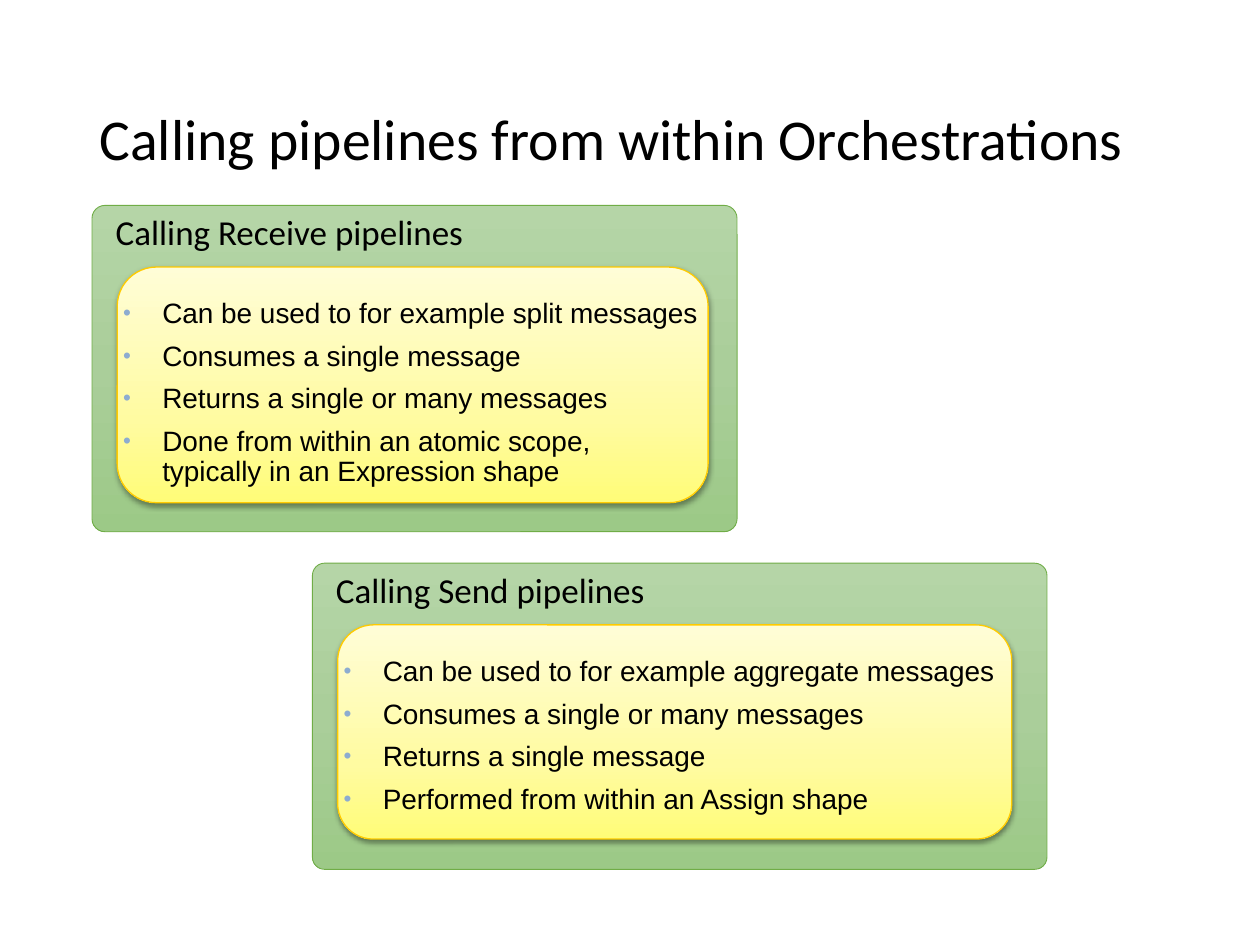
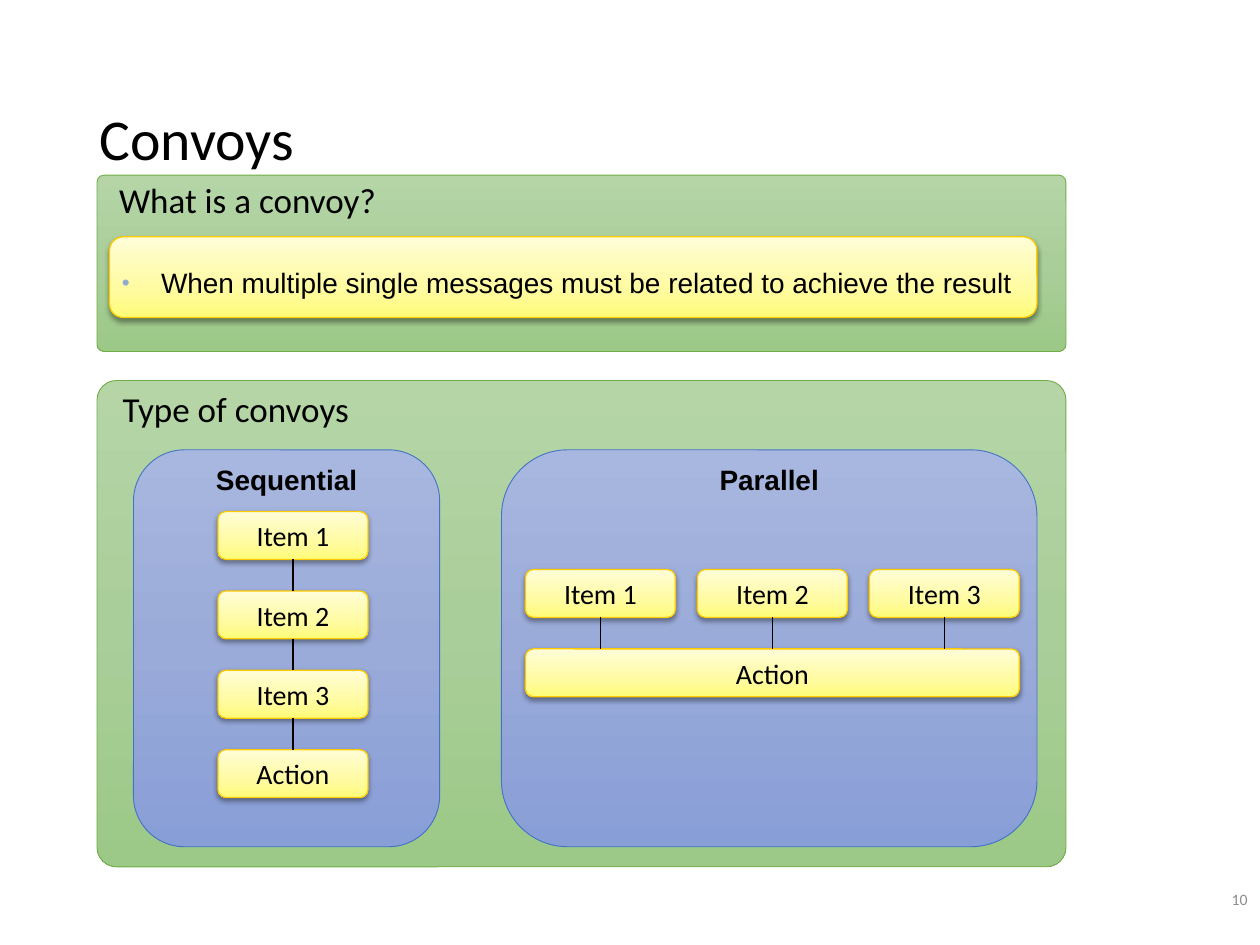
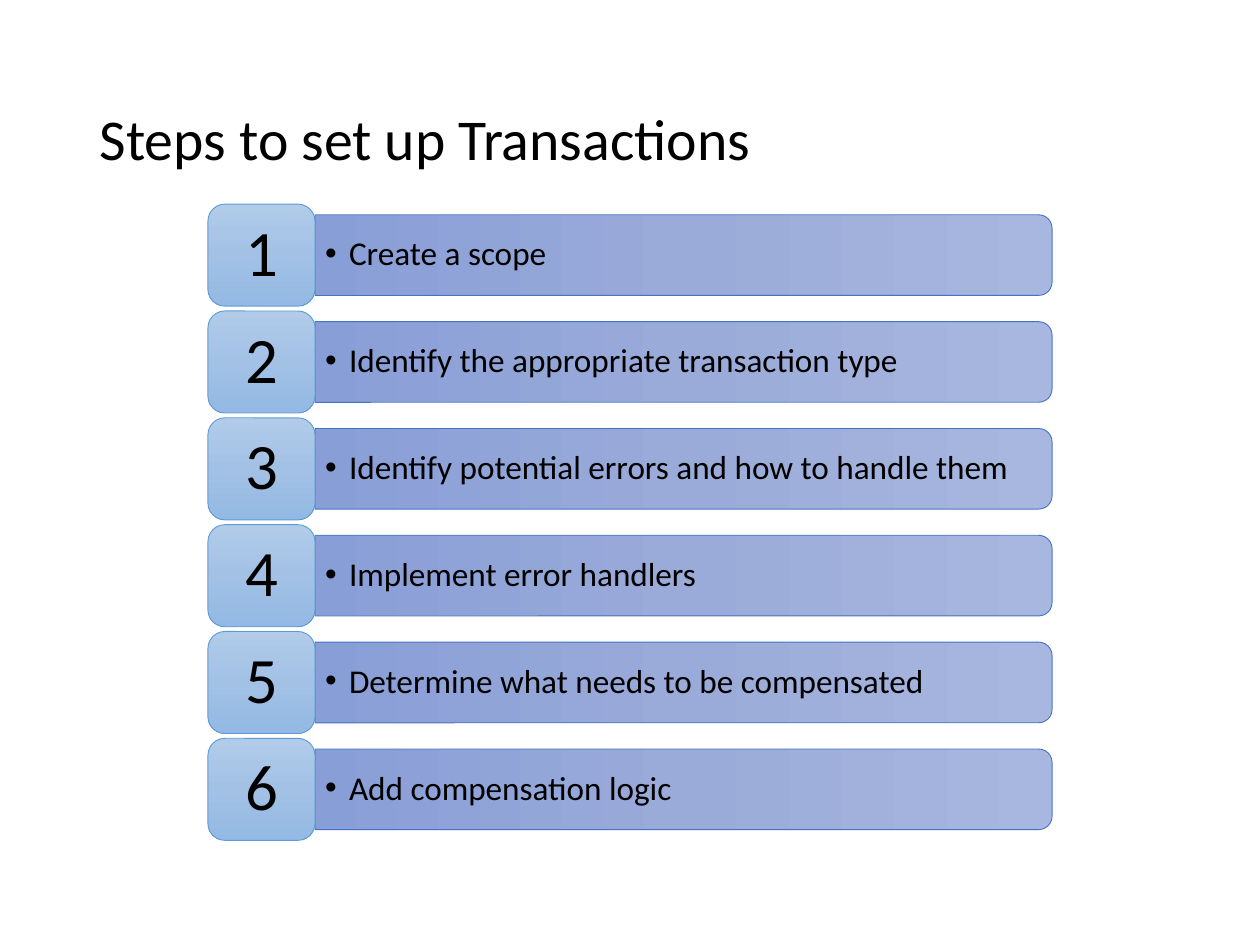
"""Build three slides on orchestration pipelines, convoys and transactions."""
from copy import deepcopy

from lxml.etree import SubElement
from pptx import Presentation
from pptx.dml.color import RGBColor
from pptx.enum.shapes import MSO_CONNECTOR, MSO_SHAPE
from pptx.enum.text import MSO_ANCHOR, PP_ALIGN
from pptx.oxml.ns import qn
from pptx.util import Inches, Pt

COLORS = {"text": "000000", "muted": "8C8C8C", "bullet": "8DACD0"}
STYLES = {
    "panel": {"stops": [(0, "B5D5A7"), (0.5, "AACE9A"), (1, "9CC987")], "line": "70AD47"},
    "column": {"stops": [(0, "A8B7DF"), (0.5, "9AABD9"), (1, "889ED7")], "line": "4472C4"},
    "tile": {"stops": [(0, "B1CBE9"), (0.5, "A3C1E5"), (1, "93B9E4")], "line": "5B9BD5"},
    "card": {"stops": [(0, "FFFDD7"), (0.65, "FFFBA1"), (1, "FFFC78")], "line": "FFCB00",
             "weight": 0.75, "shadow": True},
}

PIPELINE_TITLE = "Calling pipelines from within Orchestrations"
PIPELINES = [
    {"heading": "Calling Receive pipelines",
     "panel": (0.73, 1.63, 5.12, 2.59), "card_size": (4.69, 1.87),
     "points": ["Can be used to for example split messages",
                "Consumes a single message",
                "Returns a single or many messages",
                "Done from within an atomic scope, \vtypically in an Expression shape"]},
    {"heading": "Calling Send pipelines",
     "panel": (2.48, 4.47, 5.83, 2.43), "card_size": (5.35, 1.7),
     "points": ["Can be used to for example aggregate messages",
                "Consumes a single or many messages",
                "Returns a single message",
                "Performed from within an Assign shape"]},
]

CONVOY_TITLE = "Convoys"
CONVOY_NUMBER = "10"
DEFINITION = ("What is a convoy?",
              "When multiple single messages must be related to achieve the result")
TYPES_HEADING = "Type of convoys"
COLUMNS = {"Sequential": (1.06, 2.43), "Parallel": (3.98, 4.25)}
ITEMS = ["Item 1", "Item 2", "Item 3"]
ACTION = "Action"

STEPS_TITLE = "Steps to set up Transactions"
STEPS = ["Create a scope",
         "Identify the appropriate transaction type",
         "Identify potential errors and how to handle them",
         "Implement error handlers",
         "Determine what needs to be compensated",
         "Add compensation logic"]

TITLE_BOX = (0.69, 0.4, 8.62, 1.45)
ITEM_WIDTH, ITEM_HEIGHT, ITEM_GAP = 1.19, 0.38, 0.25
ITEM_PITCH = ITEM_HEIGHT + ITEM_GAP


def inches(box):
    return [Inches(length) for length in box]


def add_bullet(paragraph, color, size, indent):
    properties = paragraph._p.get_or_add_pPr()
    properties.set("marL", str(Inches(indent)))
    properties.set("indent", str(-Inches(indent)))
    SubElement(SubElement(properties, qn("a:buClr")), qn("a:srgbClr"), val=COLORS[color])
    SubElement(properties, qn("a:buSzPct"), val=str(size * 1000))
    SubElement(properties, qn("a:buFont"), typeface="Arial")
    SubElement(properties, qn("a:buChar"), char="•")


def write(shape, *lines, size=16, font="Calibri", bold=False, color="text",
          align=PP_ALIGN.LEFT, anchor=MSO_ANCHOR.TOP, spacing=0.9, before=7,
          insets=(0.1, 0.05), wrap=True, bullet=None):
    frame = shape.text_frame
    frame.word_wrap = wrap
    frame.vertical_anchor = anchor
    frame.margin_left = frame.margin_right = Inches(insets[0])
    frame.margin_top = frame.margin_bottom = Inches(insets[1])
    for number, line in enumerate(lines):
        paragraph = frame.add_paragraph() if number else frame.paragraphs[0]
        paragraph.text = line
        if bullet:
            add_bullet(paragraph, **bullet)
        paragraph.alignment = align
        paragraph.line_spacing = spacing
        paragraph.space_before = Pt(before if number else 0)
        for line_break in paragraph._p.findall(qn("a:br")):
            SubElement(line_break, qn("a:rPr"), sz=str(size * 100))
        for run in paragraph.runs:
            run.font.size = Pt(size)
            run.font.name = font
            run.font.bold = bold
            run.font.color.rgb = RGBColor.from_string(COLORS[color])


def add_text(slide, box, *lines, **text_format):
    write(slide.shapes.add_textbox(*inches(box)), *lines, **text_format)


def add_block(slide, box, style, preset=MSO_SHAPE.ROUNDED_RECTANGLE):
    look = STYLES[style]
    shape = slide.shapes.add_shape(preset, *inches(box))
    shape.fill.gradient()
    shape.fill.gradient_angle = 270
    stop_list = shape._element.spPr.find(qn("a:gradFill")).find(qn("a:gsLst"))
    stop_list.insert(1, deepcopy(stop_list[0]))
    for stop, (position, color) in zip(shape.fill.gradient_stops, look["stops"]):
        stop.position = position
        stop.color.rgb = RGBColor.from_string(color)
    shape.line.color.rgb = RGBColor.from_string(look["line"])
    shape.line.width = Pt(look.get("weight", 0.5))
    shape.shadow.inherit = False
    if look.get("shadow"):
        effects = shape._element.spPr.find(qn("a:effectLst"))
        shadow = SubElement(effects, qn("a:outerShdw"), blurRad=str(Pt(3.1)),
                            dist=str(Pt(1.6)), dir="5400000", rotWithShape="0")
        color = SubElement(shadow, qn("a:srgbClr"), val=COLORS["text"])
        SubElement(color, qn("a:alpha"), val="38000")
    return shape


def add_panel(slide, box, heading):
    panel = add_block(slide, box, "panel")
    panel.adjustments[0] = 0.04
    write(panel, heading, size=20)
    panel.text_frame.paragraphs[0]._p.get_or_add_pPr().set("marL", str(Inches(0.06)))


def add_points(slide, box, points):
    add_text(slide, box, *points, font="Arial",
             bullet={"color": "bullet", "size": 80, "indent": 0.31})


def add_item(slide, left, top, label, width=ITEM_WIDTH):
    item = add_block(slide, (left, top, width, ITEM_HEIGHT), "card")
    write(item, label, align=PP_ALIGN.CENTER, anchor=MSO_ANCHOR.MIDDLE,
          spacing=1.0, insets=(0, 0), wrap=False)
    return item


def add_link(slide, upper, lower, joined=True):
    middle = upper.left + upper.width // 2
    link = slide.shapes.add_connector(
        MSO_CONNECTOR.STRAIGHT, middle, upper.top + upper.height, middle, lower.top)
    link.begin_connect(upper, 2)
    if joined:
        link.end_connect(lower, 0)
    link.line.color.rgb = RGBColor.from_string(COLORS["text"])
    link.line.width = Pt(0.75)
    SubElement(link._element.spPr, qn("a:effectLst"))


def add_slide(presentation, title):
    slide = presentation.slides.add_slide(presentation.slide_layouts[5])
    placeholder = slide.shapes.title
    placeholder.left, placeholder.top, placeholder.width, placeholder.height = inches(TITLE_BOX)
    write(placeholder, title, size=33, anchor=MSO_ANCHOR.MIDDLE)
    return slide


def build_pipelines(presentation):
    slide = add_slide(presentation, PIPELINE_TITLE)
    for pipeline in PIPELINES:
        left, top, width, height = pipeline["panel"]
        card_width, card_height = pipeline["card_size"]
        add_panel(slide, pipeline["panel"], pipeline["heading"])
        add_block(slide, (left + 0.2, top + 0.49, card_width, card_height), "card")
        add_points(slide, (left + 0.15, top + 0.7, card_width + 0.15, card_height - 0.3),
                   pipeline["points"])


def build_convoys(presentation):
    slide = add_slide(presentation, CONVOY_TITLE)
    heading, definition = DEFINITION
    add_panel(slide, (0.77, 1.39, 7.69, 1.4), heading)
    add_block(slide, (0.87, 1.88, 7.36, 0.64), "card")
    add_points(slide, (0.87, 2.09, 7.36, 0.34), [definition])

    add_panel(slide, (0.77, 3.02, 7.69, 3.86), TYPES_HEADING)
    for name, (left, width) in COLUMNS.items():
        add_block(slide, (left, 3.57, width, 3.15), "column")
        add_text(slide, (left, 3.65, width, 0.34), name, font="Arial", bold=True,
                 align=PP_ALIGN.CENTER)

    chain = [add_item(slide, 1.73, 4.06 + row * ITEM_PITCH, label)
             for row, label in enumerate(ITEMS + [ACTION])]
    for upper, lower in zip(chain, chain[1:]):
        add_link(slide, upper, lower)

    left, top, action_width = 4.17, 4.52, 3.92
    column_pitch = (action_width - ITEM_WIDTH) / (len(ITEMS) - 1)
    branches = [add_item(slide, left + column * column_pitch, top, label)
                for column, label in enumerate(ITEMS)]
    action = add_item(slide, left, top + ITEM_PITCH, ACTION, width=action_width)
    for column, branch in enumerate(branches):
        add_link(slide, branch, action, joined=column == len(ITEMS) // 2)

    add_text(slide, (9.49, 6.94, 0.51, 0.4), CONVOY_NUMBER, size=9, color="muted",
             align=PP_ALIGN.RIGHT, anchor=MSO_ANCHOR.MIDDLE, spacing=1.0)


def build_steps(presentation):
    slide = add_slide(presentation, STEPS_TITLE)
    left, first_top, last_top = 1.65, 1.62, 5.86
    tile_width, tile_height = 0.85, 0.81
    bar_width, bar_height = 5.85, 0.64
    bar_left = left + tile_width
    pitch = (last_top - first_top) / (len(STEPS) - 1)
    for row, step in enumerate(STEPS):
        top = first_top + row * pitch
        middle = top + tile_height / 2
        bar = add_block(slide, (bar_left + (bar_width - bar_height) / 2,
                                middle - bar_width / 2, bar_height, bar_width),
                        "column", MSO_SHAPE.ROUND_2_SAME_RECTANGLE)
        bar.rotation = 90
        add_text(slide, (bar_left, middle - bar_height / 2, bar_width, bar_height), step,
                 size=19, anchor=MSO_ANCHOR.MIDDLE, insets=(0.08, 0.04),
                 bullet={"color": "text", "size": 100, "indent": 0.19})
        tile = add_block(slide, (left, top, tile_width, tile_height), "tile")
        write(tile, str(row + 1), size=37, align=PP_ALIGN.CENTER,
              anchor=MSO_ANCHOR.MIDDLE, insets=(0, 0))


def main():
    presentation = Presentation()
    presentation.slide_width, presentation.slide_height = Inches(10), Inches(7.5)
    build_pipelines(presentation)
    build_convoys(presentation)
    build_steps(presentation)
    presentation.save("out.pptx")


if __name__ == "__main__":
    main()
